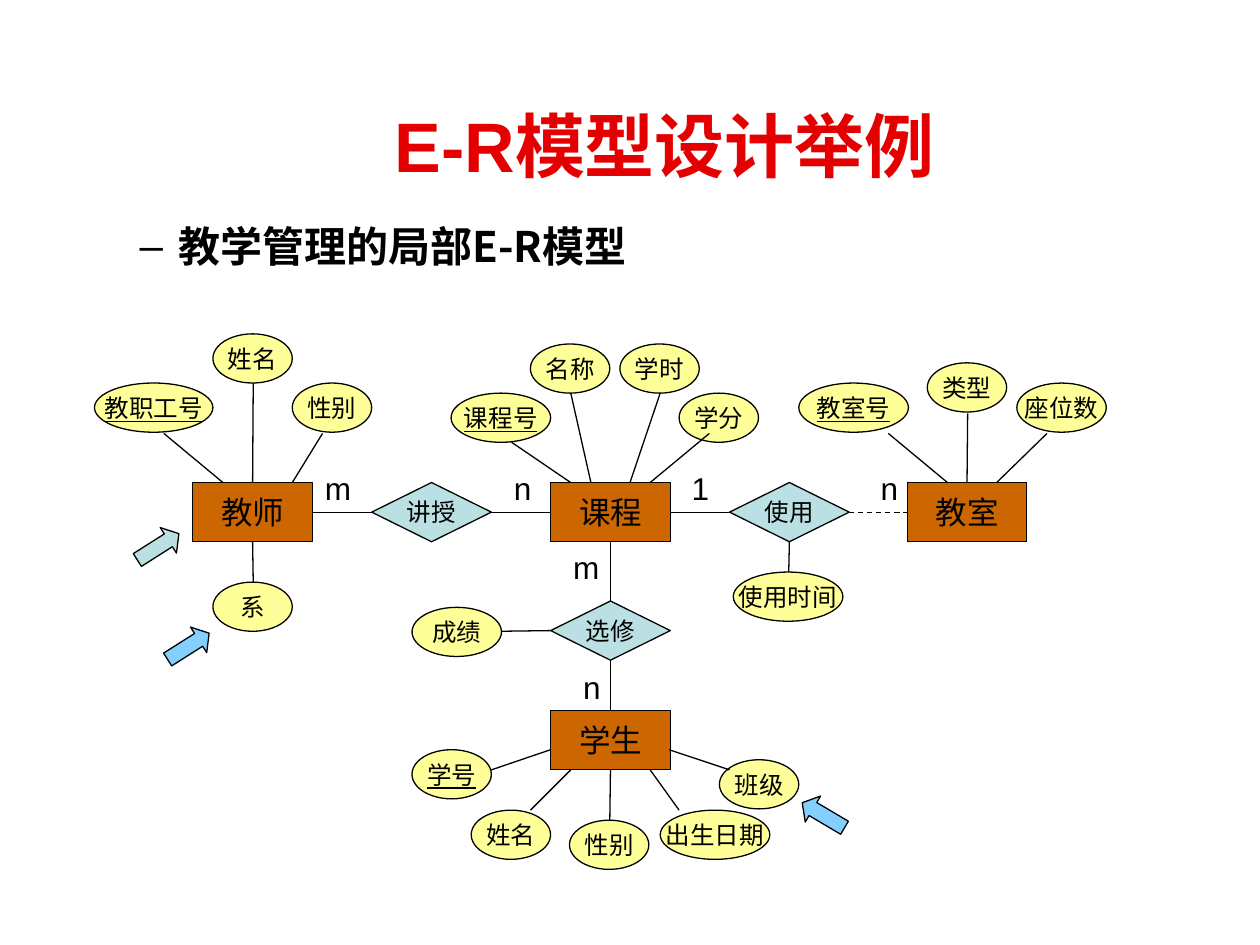
"""Build the teaching-management E-R model slide."""
from dataclasses import dataclass
from typing import Any, NamedTuple

from lxml.etree import SubElement
from pptx import Presentation
from pptx.dml.color import RGBColor
from pptx.enum.dml import MSO_LINE
from pptx.enum.shapes import MSO_CONNECTOR, MSO_SHAPE
from pptx.enum.text import MSO_ANCHOR, PP_ALIGN
from pptx.oxml.ns import qn
from pptx.util import Inches, Pt


@dataclass(frozen=True)
class Theme:
    """Colours, fonts, type sizes and common measures."""
    ink: str = "000000"
    title: str = "E40000"
    entity: str = "CC6600"
    relation: str = "BBE0E3"
    attribute: str = "FFFF99"
    pointer: str = "83D0FF"
    latin: str = "Arial"
    asian: str = "Noto Sans CJK SC"
    title_size: int = 40
    subtitle_size: int = 24
    entity_size: int = 18
    detail_size: int = 14
    line: float = 0.75
    node_width: float = 0.95
    node_height: float = 0.47
    oval_height: float = 0.39


class Point(NamedTuple):
    """A position in inches."""
    x: float
    y: float


@dataclass(frozen=True)
class Attribute:
    """An oval whose spoke runs from root (a side or a point) to tip."""
    text: str
    left: float
    top: float
    width: float
    root: int | Point
    tip: Point
    key: bool = False


@dataclass(frozen=True)
class Node:
    """An entity or relationship with its attributes."""
    text: str
    left: float
    top: float
    attributes: tuple[Attribute, ...]
    relation: bool = False


class Link(NamedTuple):
    """A line between two node sides with its cardinality label."""
    start: str
    start_side: int
    end: str
    end_side: int
    label: str
    label_at: Point
    label_width: float = 0.31
    dashed: bool = False


class Pointer(NamedTuple):
    """A block arrow marking a place in the diagram."""
    left: float
    top: float
    rotation: float
    fill: str


THEME = Theme()
TOP, LEFT, BOTTOM, RIGHT = range(4)
ROW = 3.83

NODES = (
    Node("教师", 1.53, ROW, (
        Attribute("教职工号", 0.75, 3.04, 0.94, Point(1.77, ROW), Point(1.3, 3.44), True),
        Attribute("姓名", 1.69, 2.65, 0.63, TOP, Point(2.01, 3.04)),
        Attribute("性别", 2.32, 3.04, 0.63, Point(2.32, ROW), Point(2.56, 3.44)),
        Attribute("系", 1.69, 4.62, 0.63, BOTTOM, Point(2.01, 4.62)),
    )),
    Node("课程", 4.37, ROW, (
        Attribute("课程号", 3.58, 3.12, 0.79, Point(4.53, ROW), Point(4.06, 3.51), True),
        Attribute("名称", 4.21, 2.73, 0.63, Point(4.69, ROW), Point(4.53, 3.12)),
        Attribute("学时", 4.92, 2.73, 0.63, Point(5, ROW), Point(5.24, 3.12)),
        Attribute("学分", 5.39, 3.12, 0.63, Point(5.16, ROW), Point(5.63, 3.44)),
    )),
    Node("教室", 7.2, ROW, (
        Attribute("教室号", 6.34, 3.04, 0.87, Point(7.52, ROW), Point(7.05, 3.44), True),
        Attribute("类型", 7.36, 2.88, 0.63, TOP, Point(7.68, 3.28)),
        Attribute("座位数", 8.07, 3.04, 0.71, Point(7.91, ROW), Point(8.31, 3.44)),
    )),
    Node("学生", 4.37, 5.64, (
        Attribute("学号", 3.27, 5.95, 0.63, Point(4.37, 5.95), Point(3.9, 6.11), True),
        Attribute("姓名", 3.74, 6.43, 0.63, Point(4.53, 6.11), Point(4.21, 6.43)),
        Attribute("性别", 4.52, 6.51, 0.63, BOTTOM, Point(4.84, 6.51)),
        Attribute("出生日期", 5.24, 6.43, 0.87, Point(5.16, 6.11), Point(5.39, 6.43)),
        Attribute("班级", 5.71, 6.03, 0.63, Point(5.31, 5.95), Point(5.79, 6.11)),
    )),
    Node("讲授", 2.95, ROW, (), True),
    Node("使用", 5.79, ROW, (
        Attribute("使用时间", 5.82, 4.54, 0.87, BOTTOM, Point(6.26, 4.54)),
    ), True),
    Node("选修", 4.37, 4.77, (
        Attribute("成绩", 3.27, 4.82, 0.71, LEFT, Point(3.98, 5.01)),
    ), True),
)
LINKS = (
    Link("教师", RIGHT, "讲授", LEFT, "m", Point(2.48, 3.67)),
    Link("讲授", RIGHT, "课程", LEFT, "n", Point(3.98, 3.67)),
    Link("课程", RIGHT, "使用", LEFT, "1", Point(5.39, 3.67)),
    Link("使用", RIGHT, "教室", LEFT, "n", Point(6.89, 3.67), dashed=True),
    Link("课程", BOTTOM, "选修", TOP, "m", Point(4.45, 4.3), 0.39),
    Link("选修", BOTTOM, "学生", TOP, "n", Point(4.53, 5.25)),
)
POINTERS = (
    Pointer(1.3, 5.01, 327.6, THEME.pointer),
    Pointer(1.06, 4.22, 327.6, THEME.relation),
    Pointer(6.34, 6.35, 210.6, THEME.pointer),
)


def apply_format(target: Any, values: dict[str, Any]) -> None:
    """Set every named attribute on the target."""
    for name, value in values.items():
        setattr(target, name, value)


def write_text(frame: Any, text: str, size: int, color: str = THEME.ink,
               align: Any = PP_ALIGN.CENTER, **font: Any) -> None:
    """Write one formatted paragraph."""
    paragraph = frame.paragraphs[0]
    paragraph.alignment = align
    run = paragraph.add_run()
    run.text = text
    apply_format(run.font, {"size": Pt(size), "name": THEME.latin} | font)
    run.font.color.rgb = RGBColor.from_string(color)
    SubElement(run._r.get_or_add_rPr(), qn("a:ea"), typeface=THEME.asian)


def draw_block(slide: Any, preset: Any, left: float, top: float,
               width: float, height: float, fill: str) -> Any:
    """Draw a filled, outlined preset shape."""
    block = slide.shapes.add_shape(preset, *map(Inches, (left, top, width, height)))
    block.shadow.inherit = False
    block.fill.solid()
    block.fill.fore_color.rgb = RGBColor.from_string(fill)
    block.line.color.rgb = RGBColor.from_string(THEME.ink)
    block.line.width = Pt(THEME.line)
    apply_format(block.text_frame, {"word_wrap": False, "vertical_anchor": MSO_ANCHOR.MIDDLE})
    return block


def draw_line(slide: Any, start: Point = Point(0, 0), end: Point = Point(0, 0)) -> Any:
    """Draw a thin straight connector."""
    line = slide.shapes.add_connector(MSO_CONNECTOR.STRAIGHT, *map(Inches, (*start, *end)))
    line.line.color.rgb = RGBColor.from_string(THEME.ink)
    line.line.width = Pt(THEME.line)
    SubElement(line._element.spPr, qn("a:effectLst"))
    return line


def draw_attribute(slide: Any, owner: Any, item: Attribute) -> None:
    """Draw an attribute oval and its spoke."""
    oval = draw_block(slide, MSO_SHAPE.OVAL, item.left, item.top, item.width,
                      THEME.oval_height, THEME.attribute)
    write_text(oval.text_frame, item.text, THEME.detail_size, underline=item.key or None)
    if isinstance(item.root, Point):
        draw_line(slide, item.root, item.tip)
    else:
        draw_line(slide, item.tip, item.tip).begin_connect(owner, item.root)


def draw_node(slide: Any, node: Node) -> Any:
    """Draw a node together with its attributes."""
    preset, fill, size = (
        (MSO_SHAPE.DIAMOND, THEME.relation, THEME.detail_size) if node.relation
        else (MSO_SHAPE.RECTANGLE, THEME.entity, THEME.entity_size))
    block = draw_block(slide, preset, node.left, node.top,
                       THEME.node_width, THEME.node_height, fill)
    write_text(block.text_frame, node.text, size)
    for item in node.attributes:
        draw_attribute(slide, block, item)
    return block


def draw_link(slide: Any, blocks: dict[str, Any], link: Link) -> None:
    """Join two nodes and write the cardinality."""
    line = draw_line(slide)
    line.begin_connect(blocks[link.start], link.start_side)
    line.end_connect(blocks[link.end], link.end_side)
    if link.dashed:
        line.line.dash_style = MSO_LINE.DASH
    label = slide.shapes.add_textbox(*map(Inches, (*link.label_at, link.label_width, 0.4)))
    label.text_frame.word_wrap = True
    write_text(label.text_frame, link.label, THEME.entity_size, align=PP_ALIGN.LEFT)


def draw_headings(slide: Any) -> None:
    """Place the title and the bulleted subtitle."""
    title = slide.shapes.title
    apply_format(title, {"left": Inches(1.4), "top": Inches(0.75),
                         "width": Inches(7.75), "height": Inches(0.8)})
    title.text_frame.vertical_anchor = MSO_ANCHOR.MIDDLE
    write_text(title.text_frame, "E-R模型设计举例", THEME.title_size, THEME.title, bold=True)
    subtitle = slide.shapes.add_textbox(*map(Inches, (0.51, 1.7, 9, 0.55)))
    subtitle.text_frame.word_wrap = True
    properties = subtitle.text_frame.paragraphs[0]._p.get_or_add_pPr()
    for name, length in {"marL": 0.81, "indent": -0.31}.items():
        properties.set(name, str(Inches(length)))
    SubElement(properties, qn("a:buFont"), typeface=THEME.latin)
    SubElement(properties, qn("a:buChar"), char="–")
    write_text(subtitle.text_frame, "教学管理的局部E-R模型", THEME.subtitle_size,
               align=PP_ALIGN.LEFT, name=THEME.asian, bold=True)


def main() -> None:
    """Assemble and save the slide."""
    deck = Presentation()
    apply_format(deck, {"slide_width": Inches(10), "slide_height": Inches(7.5)})
    slide = deck.slides.add_slide(deck.slide_layouts[5])
    draw_headings(slide)
    blocks = {node.text: draw_node(slide, node) for node in NODES}
    for link in LINKS:
        draw_link(slide, blocks, link)
    for pointer in POINTERS:
        arrow = draw_block(slide, MSO_SHAPE.RIGHT_ARROW, pointer.left, pointer.top,
                           0.39, 0.24, pointer.fill)
        arrow.rotation = pointer.rotation
        arrow.adjustments[1] = 0.41
    deck.save("out.pptx")


if __name__ == "__main__":
    main()
